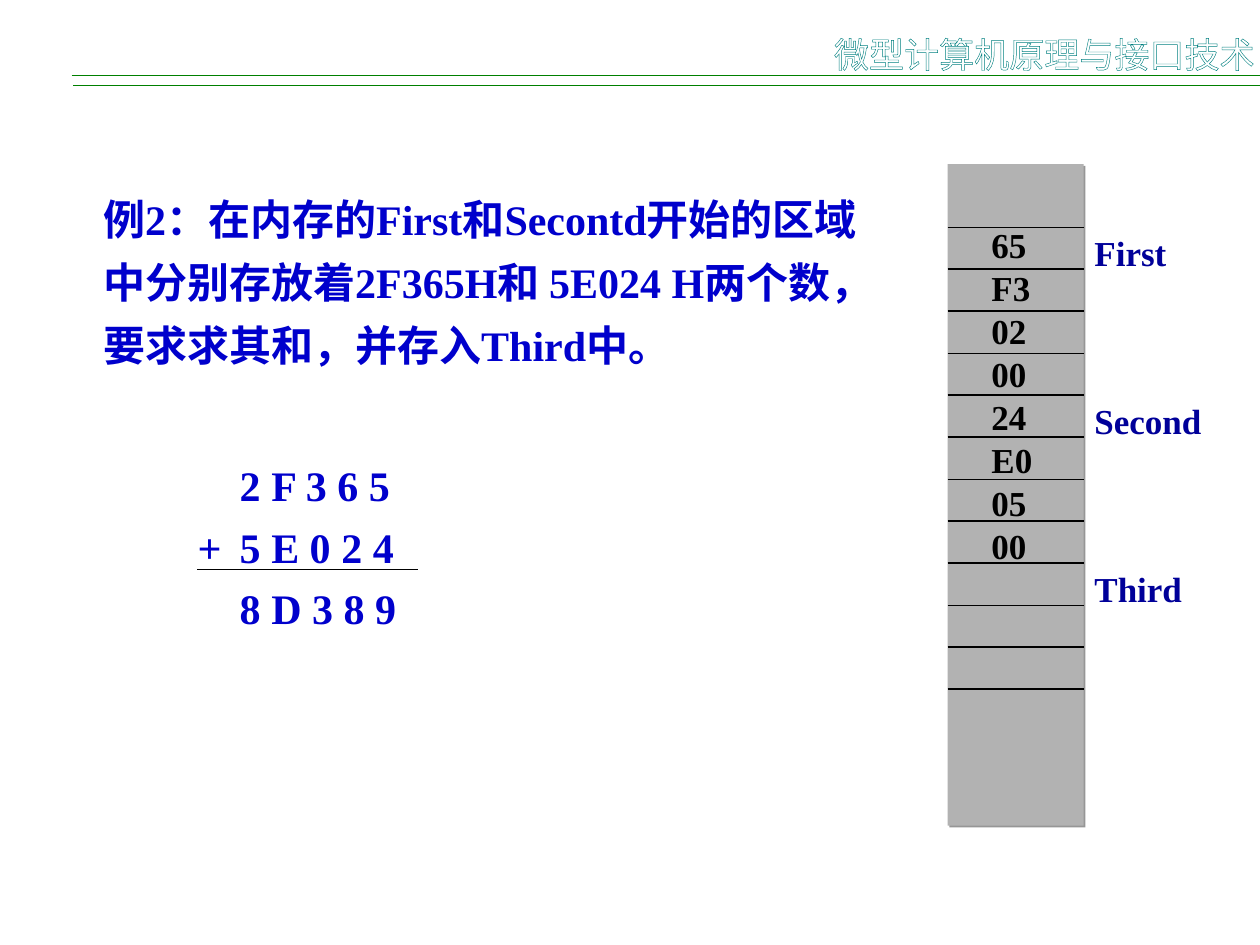
from pptx import Presentation
from pptx.dml.color import RGBColor
from pptx.enum.shapes import MSO_CONNECTOR, MSO_SHAPE
from pptx.enum.text import MSO_ANCHOR, MSO_AUTO_SIZE, PP_ALIGN
from pptx.oxml.ns import qn
from pptx.util import Pt
from lxml import etree

RECT = MSO_SHAPE.RECTANGLE
LINE = MSO_CONNECTOR.STRAIGHT
TOP = MSO_ANCHOR.TOP
FIXED = MSO_AUTO_SIZE.NONE
LEFT = PP_ALIGN.LEFT

WHITE = RGBColor(0xFF, 0xFF, 0xFF)
BLACK = RGBColor(0, 0, 0)
GREEN = RGBColor(0, 0x80, 0)
TEAL = RGBColor(0, 0x80, 0x80)
BLUE = RGBColor(0, 0, 0xCC)
NAVY = RGBColor(0, 0, 0x99)
GRAY = RGBColor(0xB2, 0xB2, 0xB2)
SHADE = RGBColor(0x96, 0x96, 0x96)

SERIF = "Times New Roman"
SANS = "Noto Sans CJK SC"

ROW = 24


def place(shape, left, top, width, height):
    shape.left, shape.top = Pt(left), Pt(top)
    shape.width, shape.height = Pt(width), Pt(height)


def setup(frame, wrap):
    frame.auto_size = FIXED
    frame.word_wrap = wrap
    frame.vertical_anchor = TOP
    frame.margin_left = frame.margin_right = Pt(7.2)
    frame.margin_top = frame.margin_bottom = Pt(3.6)


def write(frame, text, first=False, size=20, color=BLACK, face=SERIF,
          bold=True, space=1.0, before=0, margin=0, indent=0, edge=None):
    par = frame.paragraphs[0] if first else frame.add_paragraph()
    props = par._p.get_or_add_pPr()
    props.set("marL", str(Pt(margin)))
    props.set("indent", str(Pt(indent)))
    etree.SubElement(props, qn("a:buNone"))
    par.alignment = LEFT
    par.line_spacing = space
    par.space_before = Pt(0 if first else before)
    par.space_after = Pt(0)
    run = par.add_run()
    run.text = text
    font = run.font
    font.name, font.size, font.bold = face, Pt(size), bold
    font.color.rgb = color
    if edge is not None:
        mark = run._r.get_or_add_rPr()
        line = etree.Element(qn("a:ln"), w=str(Pt(0.75)))
        fill = etree.SubElement(line, qn("a:solidFill"))
        etree.SubElement(fill, qn("a:srgbClr"), val=str(edge))
        mark.insert(0, line)
        etree.SubElement(mark, qn("a:ea"), typeface=face)


def rule(shapes, left, top, right, color=BLACK):
    line = shapes.add_connector(LINE, Pt(left), Pt(top), Pt(right), Pt(top))
    line.line.color.rgb = color
    line.line.width = Pt(0.75)
    etree.SubElement(line._element.spPr, qn("a:effectLst"))


def shade(shape):
    effects = etree.SubElement(shape._element.spPr, qn("a:effectLst"))
    drop = etree.SubElement(effects, qn("a:outerShdw"), blurRad="0",
                            dist=str(Pt(1.4)), dir=str(45 * 60000),
                            algn="ctr", rotWithShape="0")
    etree.SubElement(drop, qn("a:srgbClr"), val=str(SHADE))


def header(slide, left, top, width):
    title = slide.shapes.title
    place(title, left + width - 250.6, top, 250.6, 36)
    frame = title.text_frame
    setup(frame, False)
    frame.margin_right = Pt(0)
    write(frame, "微型计算机原理与接口技术", first=True,
          color=WHITE, face=SANS, bold=False, edge=TEAL)
    rule(slide.shapes, left, top + 28, left + width, GREEN)
    rule(slide.shapes, left + 1, top + 33.8, left + width, GREEN)


def problem(slide, left, top, width, height):
    body = slide.placeholders[1]
    place(body, left, top, width, height)
    frame = body.text_frame
    setup(frame, True)
    look = {"size": 24, "color": BLUE}
    write(frame, "例2：在内存的First和Secontd开始的区域中分别存放着2F365H和 5E024 H"
          "两个数，要求求其和，并存入Third中。", first=True, space=1.25, **look)
    sums = [("2 F 3 6 5", 59, 0), ("+\t5 E 0 2 4", 15, -24),
            ("8 D 3 8 9", 15, 0)]
    for text, before, indent in sums:
        write(frame, text, space=0.7, before=before, margin=78,
              indent=indent, **look)
    rule(slide.shapes, left + 61, top + 225.4, left + 187)


def memory(slide, left, top, width, height):
    shapes = slide.shapes.add_group_shape().shapes
    block = shapes.add_shape(RECT, Pt(left), Pt(top), Pt(width), Pt(height))
    block.fill.solid()
    block.fill.fore_color.rgb = GRAY
    block.line.fill.background()
    shade(block)
    start = top + 36
    for row in range(12):
        rule(shapes, left, start + row * ROW, left + width)

    names = shapes.add_textbox(Pt(left + width - 1), Pt(start - 1),
                               Pt(75.6), Pt(223.2)).text_frame
    setup(names, False)
    for pos, name in enumerate(["First", "Second", "Third"]):
        write(names, name, first=pos == 0, color=NAVY, before=3 * ROW)

    cells = shapes.add_textbox(Pt(left + 18), Pt(start + 5),
                               Pt(48.2), Pt(215.3)).text_frame
    setup(cells, True)
    for pos, value in enumerate("65 F3 02 00 24 E0 05 00".split()):
        write(cells, value, first=pos == 0, space=0.5, before=12.5)


def main():
    deck = Presentation()
    deck.slide_width, deck.slide_height = Pt(720), Pt(540)
    slide = deck.slides.add_slide(deck.slide_layouts[1])
    header(slide, 41, 15.1, 679)
    problem(slide, 51.8, 100, 463, 299.5)
    memory(slide, 541.5, 93.8, 77.8, 378)
    deck.save("out.pptx")


if __name__ == "__main__":
    main()
